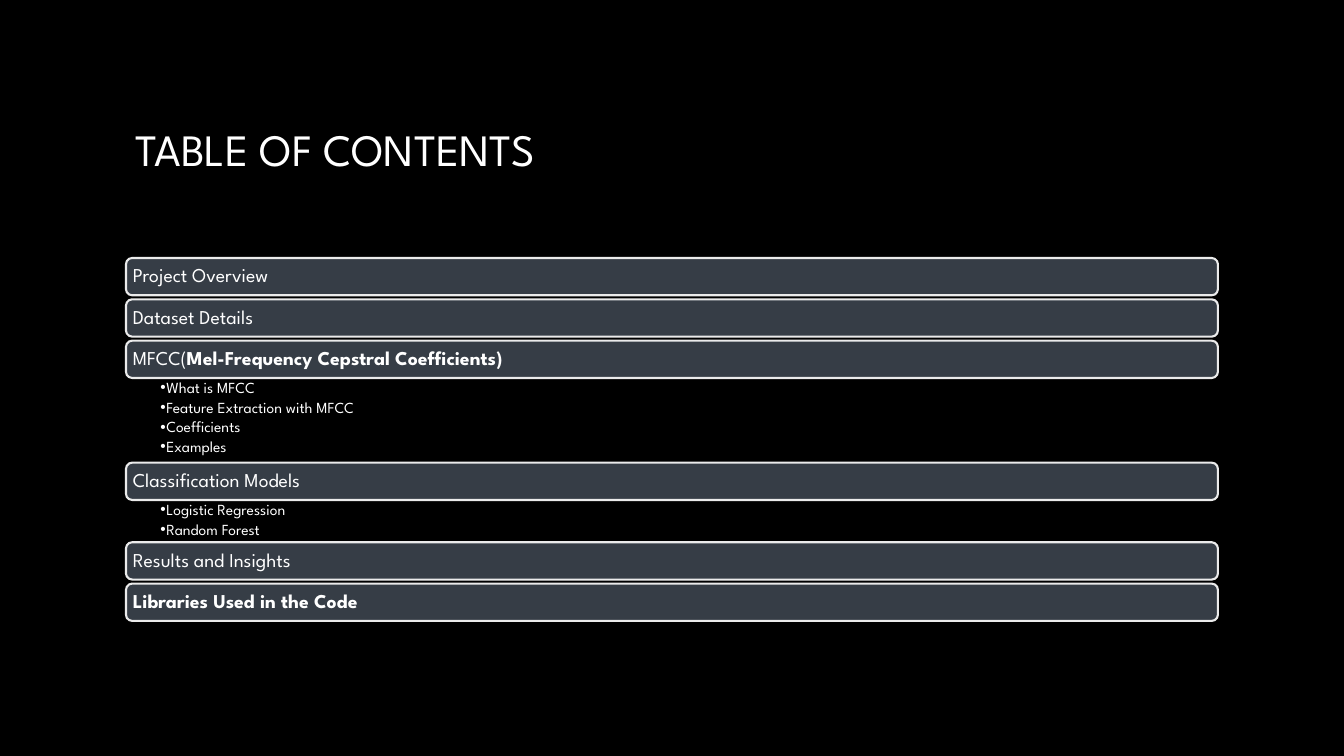
from pptx import Presentation
from pptx.dml.color import RGBColor
from pptx.enum.shapes import MSO_SHAPE
from pptx.enum.text import MSO_ANCHOR, PP_ALIGN
from pptx.util import Inches, Pt
from lxml.etree import SubElement
from pptx.oxml.ns import qn

COLORS = {"bg": "000000", "bar": "363D46", "edge": "EBEBEB", "text": "FFFFFF"}
LEFT, WIDTH = 1.25, 10.83
BAR_H, GAP, ITEM_H = 0.37, 0.04, 0.21

# Each section: heading runs as (text, bold), then its sub-items
SECTIONS = [
    ([("Project Overview", False)], []),
    ([("Dataset Details", False)], []),
    ([("MFCC(", False), ("Mel-Frequency Cepstral Coefficients)", True)],
     ["What is MFCC", "Feature Extraction with MFCC", "Coefficients", "Examples"]),
    ([("Classification Models", False)], ["Logistic Regression", "Random Forest"]),
    ([("Results and Insights", False)], []),
    ([("Libraries Used in the Code", True)], []),
]


def color(name):
    return RGBColor.from_string(COLORS[name])


class Deck:
    font = "League Spartan"

    def __init__(self):
        self.prs = Presentation()
        self.prs.slide_width, self.prs.slide_height = Inches(13.33), Inches(7.5)
        self.s = self.prs.slides.add_slide(self.prs.slide_layouts[6])
        fill = self.s.background.fill
        fill.solid()
        fill.fore_color.rgb = color("bg")

    def frame(self, sp, anchor, insets):
        tf = sp.text_frame
        tf.word_wrap = True
        tf.vertical_anchor = anchor
        tf.margin_left, tf.margin_top, tf.margin_right, tf.margin_bottom = map(Inches, insets)
        return tf

    def run(self, p, text, size, bold=False):
        r = p.add_run()
        r.text = text
        r.font.name, r.font.size, r.font.bold = self.font, Pt(size), bold
        r.font.color.rgb = color("text")
        r._r.get_or_add_rPr().set("kern", "1200")

    def spacing(self, p, after):
        p.alignment = PP_ALIGN.LEFT
        p.line_spacing = 0.9
        pPr = p._p.get_or_add_pPr()
        SubElement(SubElement(pPr, qn("a:spcAft")), qn("a:spcPct"), val=str(after * 1000))
        return pPr

    def title(self, text, top, height):
        sp = self.s.shapes.add_textbox(Inches(LEFT), Inches(top), Inches(WIDTH), Inches(height))
        tf = self.frame(sp, MSO_ANCHOR.MIDDLE, (0.1, 0.05, 0.1, 0.05))
        self.run(tf.paragraphs[0], text, 32)

    def bar(self, runs, top):
        sp = self.s.shapes.add_shape(MSO_SHAPE.ROUNDED_RECTANGLE, Inches(LEFT), Inches(top),
                                     Inches(WIDTH), Inches(BAR_H))
        sp.shadow.inherit = False
        sp.fill.solid()
        sp.fill.fore_color.rgb = color("bar")
        sp.line.color.rgb = color("edge")
        sp.line.width = Pt(1.5)
        p = self.frame(sp, MSO_ANCHOR.MIDDLE, (0.05, 0.06, 0.06, 0.06)).paragraphs[0]
        self.spacing(p, 35)
        for text, bold in runs:
            self.run(p, text, 14, bold)

    def bullets(self, items, top, height):
        sp = self.s.shapes.add_textbox(Inches(LEFT), Inches(top), Inches(WIDTH), Inches(height))
        tf = self.frame(sp, MSO_ANCHOR.TOP, (0.34, 0.02, 0.11, 0.02))
        for i, item in enumerate(items):
            p = tf.add_paragraph() if i else tf.paragraphs[0]
            p.level = 1
            pPr = self.spacing(p, 20)
            pPr.set("marL", str(Inches(0.06)))
            pPr.set("indent", str(-Inches(0.06)))
            SubElement(pPr, qn("a:buFont"), typeface="Arial")
            SubElement(pPr, qn("a:buChar"), char="•")
            self.run(p, item, 11)


def main():
    deck = Deck()
    deck.title("TABLE OF CONTENTS", 0.67, 1.61)

    # Sections stacked downwards; a sub-list fills the space to the next bar
    top = 2.56
    for runs, items in SECTIONS:
        deck.bar(runs, top)
        top += BAR_H
        if items:
            height = ITEM_H * len(items)
            deck.bullets(items, top, height)
            top += height
        else:
            top += GAP

    deck.prs.save("out.pptx")


if __name__ == "__main__":
    main()
